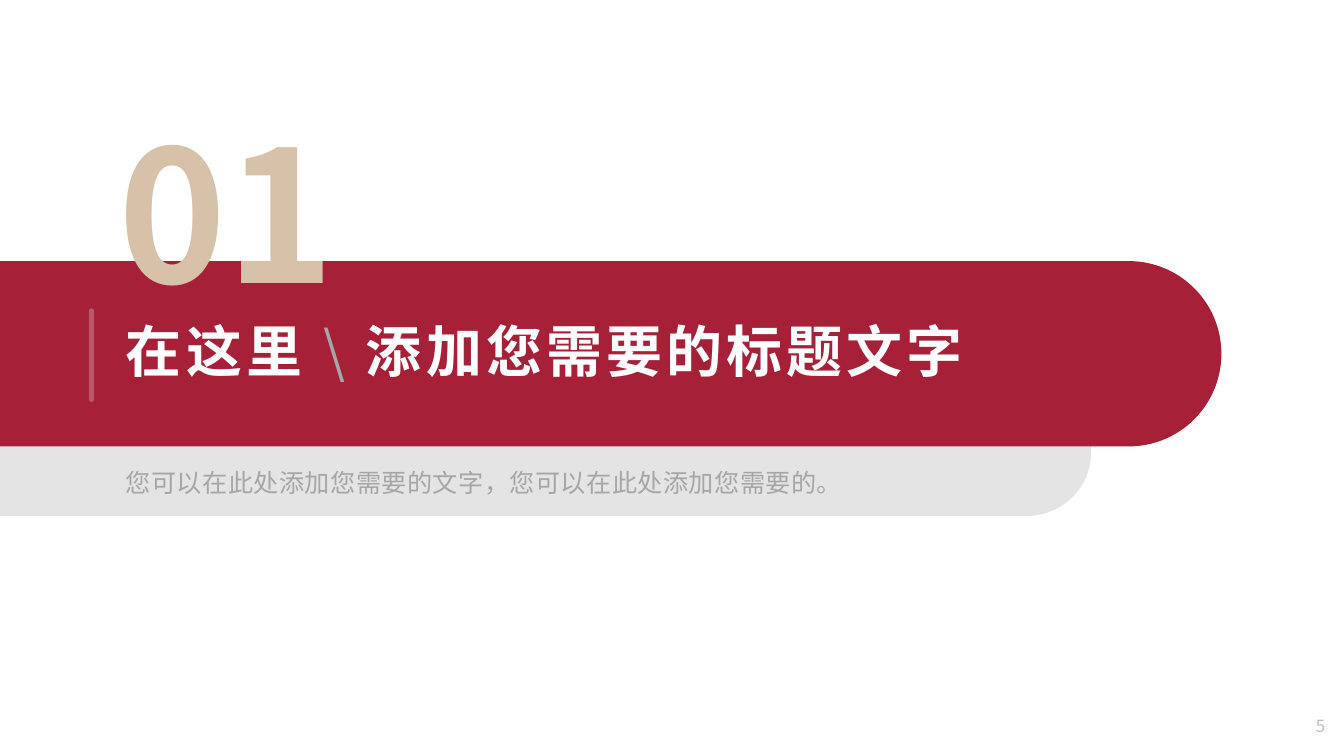
from lxml import etree
from pptx import Presentation
from pptx import util as u
from pptx.dml.color import RGBColor
from pptx.enum import shapes, text
from pptx.oxml.ns import qn

FONT = "Noto Sans CJK SC"
COLOURS = {
    "crimson": "A62038",
    "sand": "D7C1A9",
    "white": "FFFFFF",
    "band": "D9D9D9",
    "muted": "A6A6A6",
    "page": "BFBFBF",
}


def rgb(name):
    return RGBColor.from_string(COLOURS[name])


def paint(shape, colour, opacity=100):
    shape.shadow.inherit = False
    shape.line.fill.background()
    shape.fill.solid()
    shape.fill.fore_color.rgb = rgb(colour)
    if opacity < 100:
        fill = shape._element.spPr.find(qn("a:solidFill"))
        etree.SubElement(fill[0], qn("a:alpha"), val=str(opacity * 1000))


def write(shape, runs, size, bold=None, align=text.PP_ALIGN.LEFT, spacing=0,
          anchor=text.MSO_ANCHOR.TOP):
    """Fill a shape with one paragraph of (wording, colour, bold) runs."""
    frame = shape.text_frame
    frame.word_wrap = True
    frame.auto_size = text.MSO_AUTO_SIZE.NONE
    frame.vertical_anchor = anchor
    paragraph = frame.paragraphs[0]
    paragraph.alignment = align
    paragraph.font.size = u.Pt(size)
    paragraph.font.name = FONT
    paragraph.font.bold = bold
    for wording, colour, run_bold in runs:
        run = paragraph.add_run()
        run.text = wording
        run.font.bold = run_bold
        run.font.color.rgb = rgb(colour)
        properties = run.font._element
        if spacing:
            properties.set("spc", str(round(spacing * 100)))
        etree.SubElement(properties, qn("a:ea"), typeface=FONT)
    return paragraph


def add_text(slide, box, *args, **options):
    shape = slide.shapes.add_textbox(*map(u.Cm, box))
    return write(shape, *args, **options)


def add_band(slide, box, colour, opacity=100):
    """Band with a rounded right end: an upright tab turned a quarter."""
    left, top, width, height = box
    shift = (width - height) / 2
    band = slide.shapes.add_shape(
        shapes.MSO_SHAPE.ROUND_2_SAME_RECTANGLE,
        u.Cm(left + shift), u.Cm(top - shift), u.Cm(height), u.Cm(width))
    band.rotation = 90
    band.adjustments[0] = 0.5
    band.adjustments[1] = 0
    paint(band, colour, opacity)


def add_heading(slide, box):
    left, top, width, height = box
    # Title, brought in front of the bands
    title = slide.shapes.title
    title.left, title.top = u.Cm(left + 2.92), u.Cm(top + 1.34)
    title.width, title.height = u.Cm(28.52), u.Cm(2.01)
    slide.shapes._spTree.append(title._element)
    paragraph = write(
        title,
        [("在这里", "white", True), (" \\ ", "muted", False),
         ("添加您需要的标题文字", "white", True)],
        40, spacing=3, anchor=text.MSO_ANCHOR.MIDDLE)
    paragraph.line_spacing = 0.9

    # Section number overlapping the band's upper edge
    add_text(slide, (left + 0.97, top - 4.19, 9.47, 5.84),
             [("01", "sand", True)], 131, bold=True,
             align=text.PP_ALIGN.CENTER)

    # Accent bar beside the title
    bar = slide.shapes.add_shape(
        shapes.MSO_SHAPE.ROUNDED_RECTANGLE,
        u.Cm(left + 2.24), u.Cm(top + 1.19), u.Cm(0.13), u.Cm(2.36))
    bar.adjustments[0] = 0.5
    paint(bar, "white", 25)


def add_subtitle(slide, box):
    left, top, width, height = box
    paragraph = add_text(
        slide, (left + 2.92, top + 1.69, 28.52, 4.27),
        [("您可以在此处添加您需要的文字，您可以在此处添加您需要的。", "muted", None)],
        18, align=text.PP_ALIGN.JUSTIFY, spacing=0.3)
    paragraph.line_spacing = 1.25


def add_page_number(slide, box):
    add_text(slide, box, [("5", "page", None)], 12,
             align=text.PP_ALIGN.RIGHT, anchor=text.MSO_ANCHOR.MIDDLE)


def build_section_slide(presentation):
    slide = presentation.slides.add_slide(presentation.slide_layouts[5])
    heading_box = (0, 6.58, 30.78, 4.67)
    subtitle_box = (0, 9.77, 27.5, 3.23)
    add_band(slide, subtitle_box, "band", 71)
    add_band(slide, heading_box, "crimson")
    add_heading(slide, heading_box)
    add_subtitle(slide, subtitle_box)
    add_page_number(slide, (30.78, 17.81, 2.87, 0.97))


def main():
    presentation = Presentation()
    presentation.slide_width = u.Cm(33.87)
    presentation.slide_height = u.Cm(19.05)
    build_section_slide(presentation)
    presentation.save("out.pptx")


if __name__ == "__main__":
    main()
